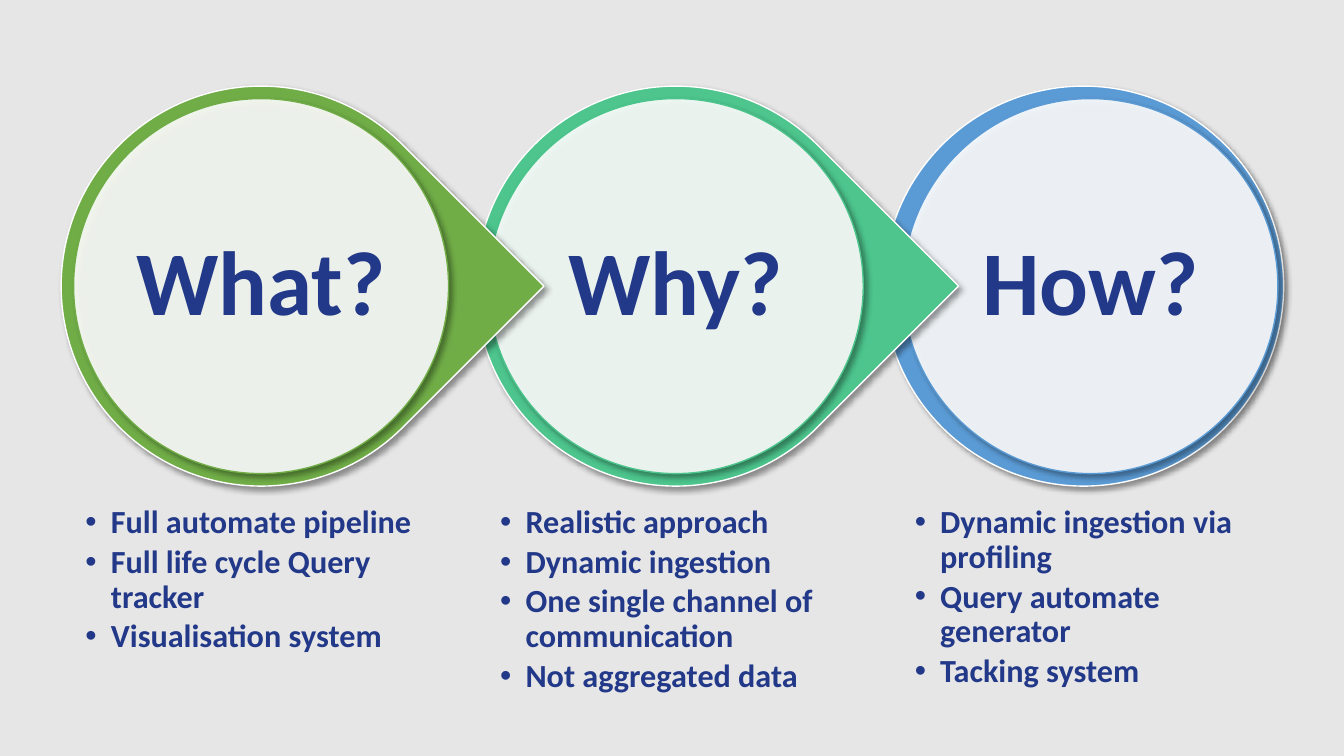
"""Build a slide with three linked circles: What, Why and How."""
from dataclasses import dataclass

from lxml import etree
from pptx import Presentation
from pptx import util as u
from pptx.dml.color import RGBColor
from pptx.enum import shapes, text
from pptx.oxml import ns

COLOURS = {
    "background": "E7E6E6",
    "white": "FFFFFF",
    "shadow": "000000",
    "text": "223888",
    "green": "70AD47",
    "mint": "4DC58D",
    "blue": "5B9BD5",
}
FONT = "Calibri"
CENTRE_Y = 7.21
FIRST_CENTRE_X = 6.58
STEP = 10.45
OUTER_SIZE = 10.08
INNER_SIZE = 9.45
HEADING_SIZE = 6.76
BULLETS_TOP = 12.45
BULLETS_HEIGHT = 5.54
BULLET_INDENT = 0.64


@dataclass
class Stage:
    """One circle with its heading and bullet points."""

    heading: str
    colour: str
    bullets: list[str]
    pointed: bool = True
    outer_shift: float = 0


STAGES = [
    Stage("What?", "green", [
        "Full automate pipeline",
        "Full life cycle Query tracker",
        "Visualisation system",
    ]),
    Stage("Why?", "mint", [
        "Realistic approach",
        "Dynamic ingestion",
        "One single channel of communication",
        "Not aggregated data",
    ]),
    Stage("How?", "blue", [
        "Dynamic ingestion via profiling",
        "Query automate generator",
        "Tacking system",
    ], pointed=False, outer_shift=-0.17),
]


def colour(name: str) -> RGBColor:
    """Return the named colour."""
    return RGBColor.from_string(COLOURS[name])


def add_element(parent, tag: str, **attributes: str):
    """Append a DrawingML element to a parent."""
    return etree.SubElement(parent, ns.qn(tag), attributes)


def add_shadow(shape) -> None:
    """Give a shape a soft shadow to the lower right."""
    shape.shadow.inherit = False
    effects = shape._element.spPr.find(ns.qn("a:effectLst"))
    shadow = add_element(effects, "a:outerShdw", blurRad=str(u.Pt(4)), dist=str(u.Pt(3)),
                         dir="2700000", algn="ctr", rotWithShape="0")
    tint = add_element(shadow, "a:srgbClr", val=COLOURS["shadow"])
    add_element(tint, "a:alpha", val="40000")


def add_disc(slide, kind, centre_x: float, size: float, fill: str, line: str):
    """Draw a filled, shadowed shape around a centre point."""
    disc = slide.shapes.add_shape(kind, u.Cm(centre_x - size / 2), u.Cm(CENTRE_Y - size / 2),
                                  u.Cm(size), u.Cm(size))
    disc.fill.solid()
    disc.fill.fore_color.rgb = colour(fill)
    disc.line.color.rgb = colour(line)
    disc.line.width = u.Pt(1)
    add_shadow(disc)
    return disc


def add_text(slide, centre_x: float, top: float, width: float, height: float,
             content: str, size: float, space_after: float, margin: float):
    """Add a bold text box centred on a stage and return its frame."""
    box = slide.shapes.add_textbox(u.Cm(centre_x - width / 2), u.Cm(top), u.Cm(width), u.Cm(height))
    frame = box.text_frame
    frame.word_wrap = True
    frame.margin_left = frame.margin_right = u.Cm(margin)
    frame.margin_top = frame.margin_bottom = u.Cm(margin)
    frame.text = content
    for paragraph in frame.paragraphs:
        paragraph.line_spacing = 0.9
        paragraph.space_after = u.Pt(space_after)
        for run in paragraph.runs:
            run.font.name = FONT
            run.font.size = u.Pt(size)
            run.font.bold = True
            run.font.color.rgb = colour("text")
    return frame


def add_stage(slide, stage: Stage, centre_x: float) -> None:
    """Draw one stage with its circle, heading and bullets."""
    kinds = shapes.MSO_SHAPE
    outer = add_disc(slide, kinds.TEAR if stage.pointed else kinds.OVAL,
                     centre_x + stage.outer_shift, OUTER_SIZE, stage.colour, "white")
    if stage.pointed:
        outer.rotation = 45

    inner = add_disc(slide, kinds.OVAL, centre_x, INNER_SIZE, "white", stage.colour)
    fill = inner._element.spPr.find(ns.qn("a:solidFill"))
    add_element(fill[0], "a:alpha", val="90000")

    heading = add_text(slide, centre_x, CENTRE_Y - HEADING_SIZE / 2, HEADING_SIZE, HEADING_SIZE,
                       stage.heading, size=65, space_after=22.75, margin=0.23)
    heading.vertical_anchor = text.MSO_ANCHOR.MIDDLE
    heading.paragraphs[0].alignment = text.PP_ALIGN.CENTER

    bullets = add_text(slide, centre_x, BULLETS_TOP, INNER_SIZE, BULLETS_HEIGHT,
                       "\n".join(stage.bullets), size=23, space_after=3.45, margin=0.3)
    for paragraph in bullets.paragraphs:
        paragraph.level = 1
        properties = paragraph._p.get_or_add_pPr()
        properties.set("marL", str(u.Cm(BULLET_INDENT)))
        properties.set("indent", str(-u.Cm(BULLET_INDENT)))
        add_element(properties, "a:buFont", typeface="Arial")
        add_element(properties, "a:buChar", char="•")


def main() -> None:
    """Create and save the presentation."""
    presentation = Presentation()
    presentation.slide_width = u.Cm(33.87)
    presentation.slide_height = u.Cm(19.05)
    slide = presentation.slides.add_slide(presentation.slide_layouts[6])
    slide.background.fill.solid()
    slide.background.fill.fore_color.rgb = colour("background")
    for index, stage in reversed(list(enumerate(STAGES))):
        add_stage(slide, stage, FIRST_CENTRE_X + index * STEP)
    presentation.save("out.pptx")


if __name__ == "__main__":
    main()
